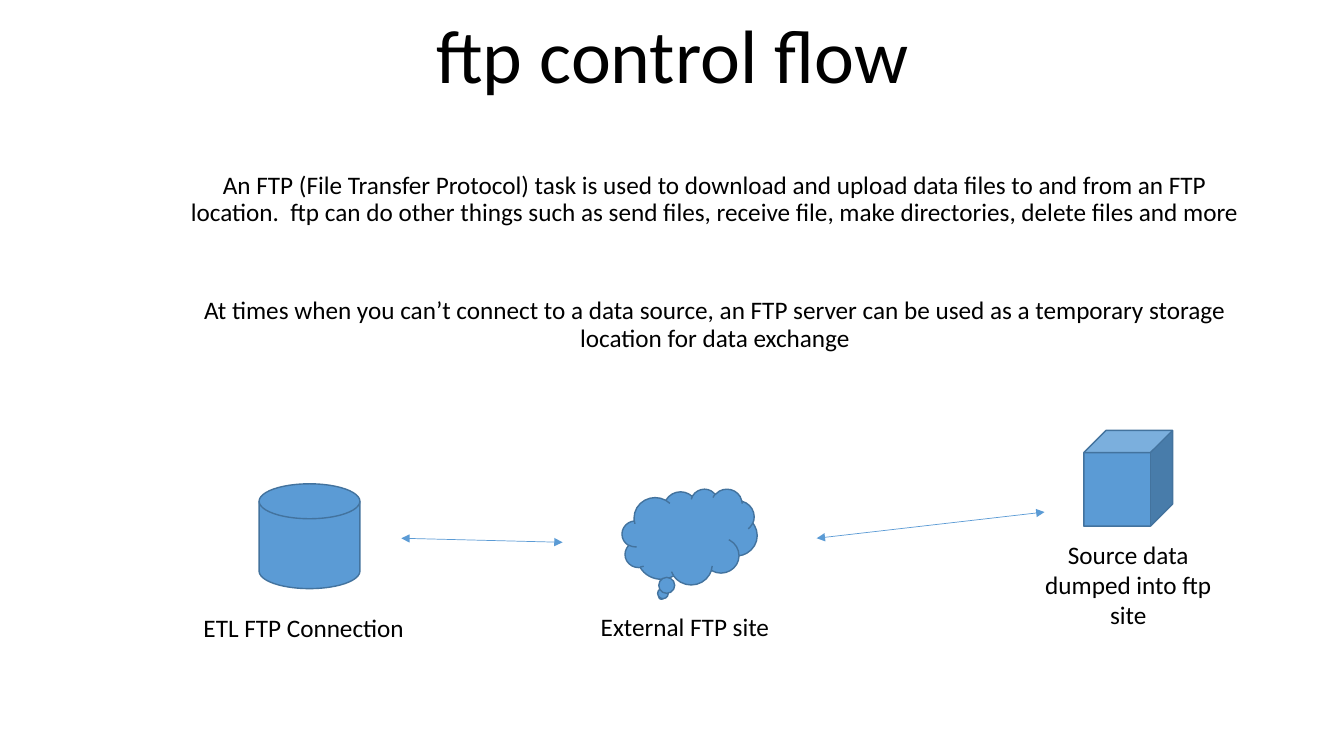
from lxml import etree
from pptx import Presentation
from pptx.dml.color import RGBColor
from pptx.enum.shapes import MSO_CONNECTOR, MSO_SHAPE
from pptx.enum.text import MSO_ANCHOR, PP_ALIGN
from pptx.oxml.ns import qn
from pptx.util import Inches, Pt

DISK = MSO_SHAPE.FLOWCHART_MAGNETIC_DISK
CLOUD = MSO_SHAPE.CLOUD_CALLOUT
CUBE = MSO_SHAPE.CUBE
LEFT, CENTER = PP_ALIGN.LEFT, PP_ALIGN.CENTER
FONT, BLACK, BLUE, EDGE = "Calibri", "000000", "5B9BD5", "43739E"

INTRO = [
    "An FTP (File Transfer Protocol) task is used to download and upload data "
    "files to and from an FTP location.  ftp can do other things such as send "
    "files, receive file, make directories, delete files and more",
    "At times when you can’t connect to a data source, an FTP server can be "
    "used as a temporary storage location for data exchange",
]

# Icon, icon box, label, label box, label alignment; boxes relative to the flow
STATIONS = [
    (DISK, (0.65, 0.53, 1, 1.04), "ETL FTP Connection", (0, 1.76, 2.3, 0.4), LEFT),
    (CLOUD, (4.25, 0.58, 1.34, 0.95), "External FTP site", (3.94, 1.75, 2.74, 0.4), LEFT),
    (CUBE, (8.83, 0, 0.88, 0.95), "Source data dumped into ftp site",
     (8.33, 1.03, 1.88, 1.01), CENTER),
]
ARROWS = [(2.06, 1.07, 3.66, 1.11), (6.18, 1.07, 8.44, 0.81)]


def color(value):
    return RGBColor.from_string(value)


def inches(values):
    return [Inches(v) for v in values]


def place(sp, box):
    sp.left, sp.top, sp.width, sp.height = inches(box)


def shift(box, x, y):
    return box[0] + x, box[1] + y, box[2], box[3]


def add_run(p, text, size, align):
    p.alignment = align
    r = p.add_run()
    r.text = text
    r.font.name, r.font.size = FONT, Pt(size)
    r.font.color.rgb = color(BLACK)


def add_title(s, box, text):
    sp = s.shapes.title
    place(sp, box)
    tf = sp.text_frame
    tf.vertical_anchor = MSO_ANCHOR.BOTTOM
    p = tf.paragraphs[0]
    p.line_spacing = 0.9
    add_run(p, text, 54, CENTER)


def add_text(s, box, paragraphs, align):
    tf = s.shapes.add_textbox(*inches(box)).text_frame
    tf.word_wrap = True
    for i, text in enumerate(paragraphs):
        p = tf.add_paragraph() if i else tf.paragraphs[0]
        add_run(p, text, 18, align)
    return tf


def add_intro(s, box):
    tf = add_text(s, box, INTRO, CENTER)
    tf.margin_top = Inches(0.66)
    for i, p in enumerate(tf.paragraphs):
        p.line_spacing = 0.9
        p.space_before = Pt(51 if i else 0)


def add_icon(s, kind, box):
    sp = s.shapes.add_shape(kind, *inches(box))
    sp.shadow.inherit = False
    sp.fill.solid()
    sp.fill.fore_color.rgb = color(BLUE)
    sp.line.color.rgb = color(EDGE)
    sp.line.width = Pt(1)


def add_double_arrow(s, ends):
    cx = s.shapes.add_connector(MSO_CONNECTOR.STRAIGHT, *inches(ends))
    cx.line.color.rgb = color(BLUE)
    cx.line.width = Pt(0.5)
    ln = cx.line._get_or_add_ln()
    for tag in ("a:headEnd", "a:tailEnd"):
        etree.SubElement(ln, qn(tag), type="triangle")
    etree.SubElement(cx._element.spPr, qn("a:effectLst"))


def add_flow(s, x, y):
    """Draw the three stations and the arrows between them from the corner x, y."""
    for kind, icon_box, label, label_box, align in STATIONS:
        add_icon(s, kind, shift(icon_box, x, y))
        add_text(s, shift(label_box, x, y), [label], align)
    for x1, y1, x2, y2 in ARROWS:
        add_double_arrow(s, (x + x1, y + y1, x + x2, y + y2))


def main():
    prs = Presentation()
    prs.slide_width, prs.slide_height = inches((13.33, 7.5))
    s = prs.slides.add_slide(prs.slide_layouts[5])
    add_title(s, (1.67, 0.1, 10, 0.94), "ftp control flow")
    add_intro(s, (1.67, 1.05, 10.84, 6.45))
    add_flow(s, 1.92, 4.27)
    prs.save("out.pptx")


if __name__ == "__main__":
    main()
